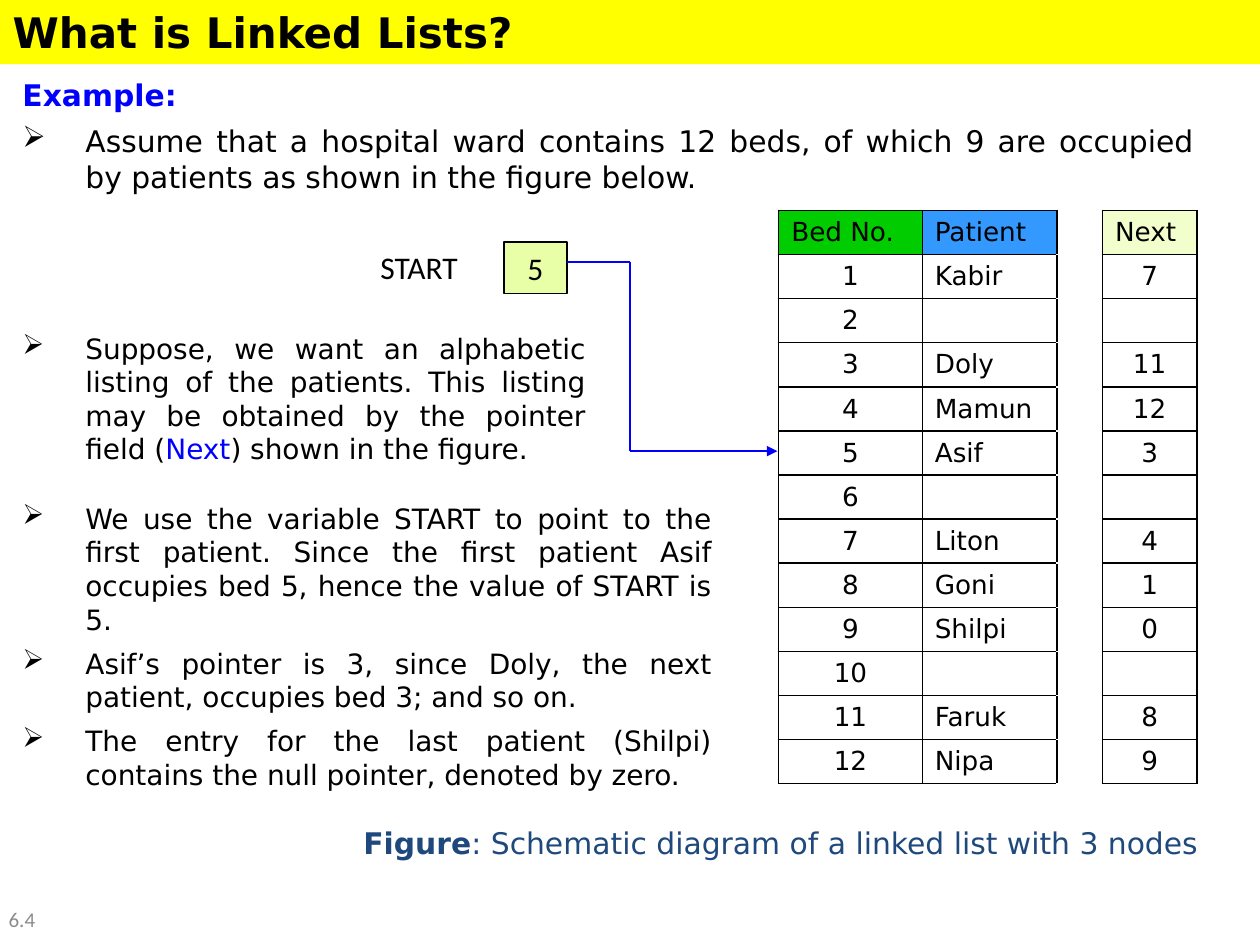
"""Build the slide on linked lists with a hospital ward example."""
from dataclasses import dataclass

from lxml import etree
from pptx import Presentation
from pptx import util as u
from pptx.dml.color import RGBColor
from pptx.enum import shapes, text
from pptx.oxml import ns


@dataclass(frozen=True)
class Theme:
    """Colours, type sizes and fonts of the slide."""
    ink: str = "000000"
    blue: str = "0000FF"
    navy: str = "1F497D"
    grey: str = "8C8C8C"
    bar: str = "FFFF00"
    node: str = "E8FFA7"
    heads: tuple = ("00CC00", "3399FF", None, "F2FFCD")
    sans: str = "DejaVu Sans"
    plain: str = "Calibri"
    title: int = 24
    lead: int = 17
    body: int = 16
    cell: int = 15
    start: int = 18
    foot: int = 12


T = Theme()
MID = text.MSO_ANCHOR.MIDDLE
LEFT, MID_X, JUST = text.PP_ALIGN.LEFT, text.PP_ALIGN.CENTER, text.PP_ALIGN.JUSTIFY
BEDS = [("Kabir", 7), ("", ""), ("Doly", 11), ("Mamun", 12), ("Asif", 3), ("", ""),
        ("Liton", 4), ("Goni", 1), ("Shilpi", 0), ("", ""), ("Faruk", 8), ("Nipa", 9)]


def put(item, form):
    """Set each attribute named in a dict."""
    for name, val in form.items():
        setattr(item, name, val)


def paint(fill, tone):
    """Fill with a plain colour, or clear the fill."""
    if tone:
        fill.solid()
        fill.fore_color.rgb = RGBColor.from_string(tone)
    else:
        fill.background()


def write(para, words, size, tone=T.ink, face=T.sans, bold=False):
    """Add one run of text to a paragraph."""
    run = para.add_run()
    run.text = words
    put(run.font, {"size": u.Pt(size), "name": face, "bold": bold})
    run.font.color.rgb = RGBColor.from_string(tone)


def add_box(slide, area):
    """Add a wrapping text box and return its frame."""
    frame = slide.shapes.add_textbox(*map(u.Inches, area)).text_frame
    frame.word_wrap = True
    return frame


def add_list(slide, area, items, size):
    """Add justified points; each is a bullet flag and its runs."""
    frame = add_box(slide, area)
    for num, (mark, runs) in enumerate(items):
        para = frame.add_paragraph() if num else frame.paragraphs[0]
        put(para, {"alignment": JUST, "level": 1, "space_after": u.Pt(3),
                   "space_before": u.Pt(3 if num else 0)})
        props = para._p.get_or_add_pPr()
        props.set("marL", str(u.Inches(0.5)))
        props.set("indent", str(u.Inches(-0.5)))
        if mark:
            etree.SubElement(props, ns.qn("a:buChar"), char="➢")
        else:
            etree.SubElement(props, ns.qn("a:buNone"))
        for words, form in runs:
            write(para, words, size, **form)


def add_title(slide, words):
    """Turn the title placeholder into the top bar."""
    title = slide.shapes.title
    put(title, dict(zip(("left", "top", "width", "height"),
                        map(u.Inches, (0, 0, 10, 0.51)))))
    paint(title.fill, T.bar)
    put(title.text_frame, {"auto_size": text.MSO_AUTO_SIZE.NONE,
                           "vertical_anchor": MID})
    para = title.text_frame.paragraphs[0]
    para.alignment = LEFT
    write(para, words, T.title, bold=True)


def add_line(slide, start, end, head=False):
    """Add a straight blue line, with an arrowhead if asked."""
    line = slide.shapes.add_connector(
        shapes.MSO_CONNECTOR.STRAIGHT, *map(u.Inches, start + end))
    line.line.width = u.Pt(0.75)
    line.line.color.rgb = RGBColor.from_string(T.blue)
    if head:
        etree.SubElement(line.line._get_or_add_ln(), ns.qn("a:tailEnd"),
                         type="triangle")
    etree.SubElement(line._element.spPr, ns.qn("a:effectLst"))


def add_start(slide):
    """Add the start label, its box and the path to bed 5."""
    box = slide.shapes.add_shape(shapes.MSO_SHAPE.RECTANGLE,
                                 *map(u.Inches, (4, 1.92, 0.5, 0.41)))
    box.shadow.inherit = False
    paint(box.fill, T.node)
    paint(box.line.fill, T.ink)
    box.line.width = u.Pt(0.75)
    para = box.text_frame.paragraphs[0]
    para.alignment = MID_X
    write(para, "5", T.start, face=T.plain)
    label = add_box(slide, (2.92, 1.92, 1.17, 0.4))
    write(label.paragraphs[0], "START", T.start, face=T.plain)
    stops = [(4.5, 2.08), (5, 2.08), (5, 3.58), (6.17, 3.58)]
    for start, end in zip(stops, stops[1:]):
        add_line(slide, start, end, head=end == stops[-1])


def edge(cell, sides):
    """Draw black borders on the named sides of a cell."""
    props = cell._tc.get_or_add_tcPr()
    for num, side in enumerate(sides):
        line = etree.Element(ns.qn(f"a:ln{side}"), w=str(u.Pt(1)))
        fill = etree.SubElement(line, ns.qn("a:solidFill"))
        etree.SubElement(fill, ns.qn("a:srgbClr"), val=T.ink)
        props.insert(num, line)


def add_ward(slide):
    """Add the table of beds, patients and next pointers."""
    rows = [("Bed No.", "Patient", "", "Next")]
    rows += [(num, name, "", link) for num, (name, link) in enumerate(BEDS, 1)]
    grid = slide.shapes.add_table(
        len(rows), 4, *map(u.Inches, (6.18, 1.67, 3.32, 4.55))).table
    put(grid, {"first_row": False, "horz_banding": False})
    for col, wide in zip(grid.columns, (1.14, 1.07, 0.36, 0.75)):
        col.width = u.Inches(wide)
    for r, row in enumerate(rows):
        grid.rows[r].height = u.Inches(0.35)
        for c, val in enumerate(row):
            cell = grid.cell(r, c)
            put(cell, {"vertical_anchor": MID, "margin_top": 0, "margin_bottom": 0})
            paint(cell.fill, None if r else T.heads[c])
            edge(cell, "LR" if c == 2 else "LRTB")
            para = cell.text_frame.paragraphs[0]
            para.alignment = MID_X if r and c != 1 else LEFT
            if val != "":
                write(para, str(val), T.cell)


def main():
    """Build and save the slide."""
    deck = Presentation()
    put(deck, {"slide_width": u.Inches(10), "slide_height": u.Inches(7.5)})
    slide = deck.slides.add_slide(deck.slide_layouts[5])
    add_title(slide, "What is Linked Lists?")
    add_list(slide, (0.08, 0.56, 9.5, 1.03), [
        (False, [("Example:", {"tone": T.blue, "bold": True})]),
        (True, [("Assume that a hospital ward contains 12 beds, of which 9 are "
                 "occupied by patients as shown in the figure below.", {})])], T.lead)
    foot = add_box(slide, (-0.03, 7.09, 0.82, 0.41))
    foot.vertical_anchor = MID
    write(foot.paragraphs[0], "6.4", T.foot, T.grey, T.plain)
    note = add_box(slide, (2.57, 6.5, 7.26, 0.38)).paragraphs[0]
    note.alignment = MID_X
    write(note, "Figure", T.lead, T.navy, bold=True)
    write(note, ": Schematic diagram of a linked list with 3 nodes", T.lead, T.navy)
    add_ward(slide)
    add_start(slide)
    add_list(slide, (0.08, 2.58, 4.67, 1.17), [
        (True, [("Suppose, we want an alphabetic listing of the patients. This "
                 "listing may be obtained by the pointer field (", {}),
                ("Next", {"tone": T.blue}),
                (") shown in the figure.", {})])], T.body)
    points = ["We use the variable START to point to the first patient. Since the "
              "first patient Asif occupies bed 5, hence the value of START is 5.",
              "Asif’s pointer is 3, since Doly, the next patient, occupies bed 3; "
              "and so on.",
              "The entry for the last patient (Shilpi) contains the null pointer, "
              "denoted by zero."]
    add_list(slide, (0.08, 3.93, 5.67, 2.41),
             [(True, [(point, {})]) for point in points], T.body)
    deck.save("out.pptx")


if __name__ == "__main__":
    main()
